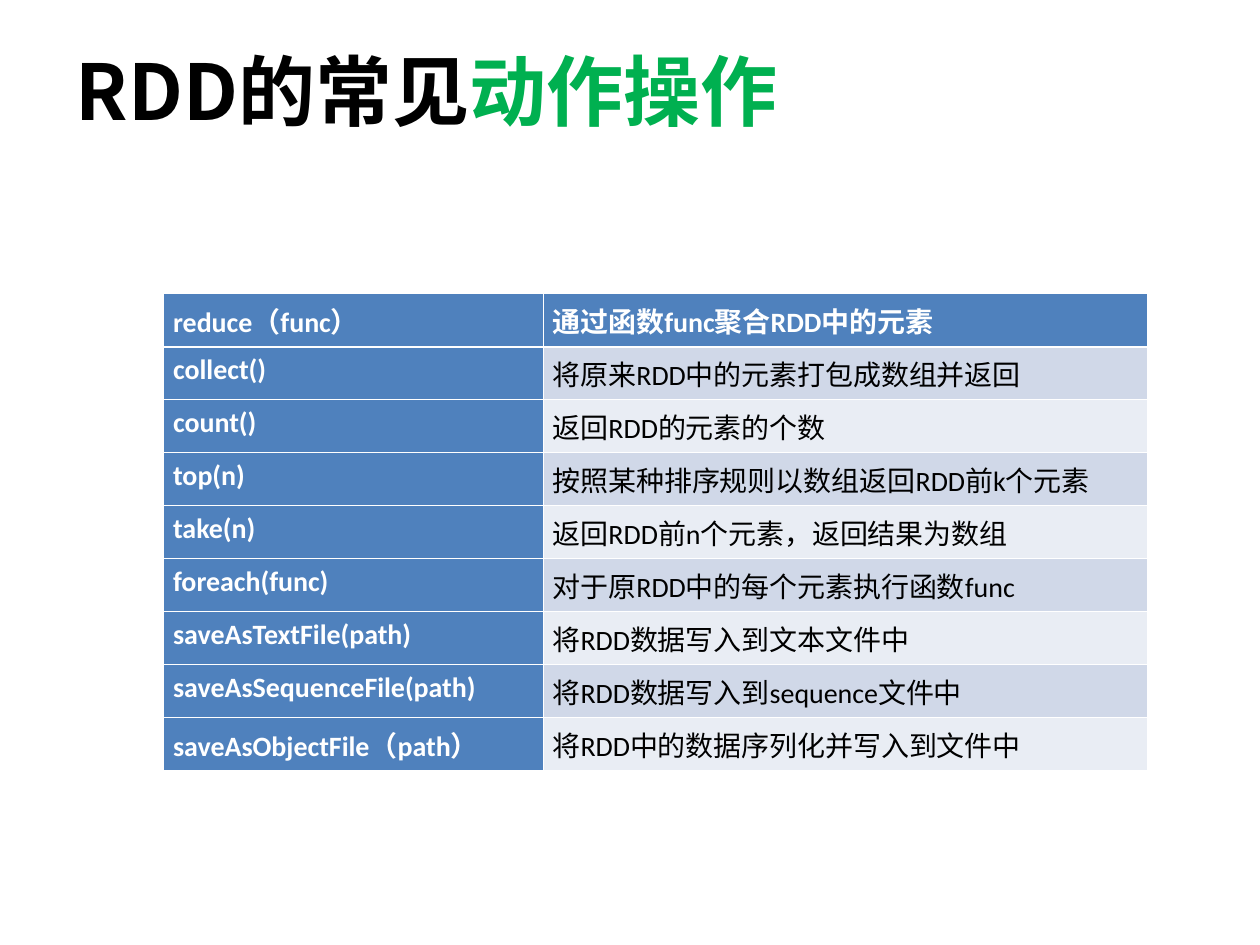
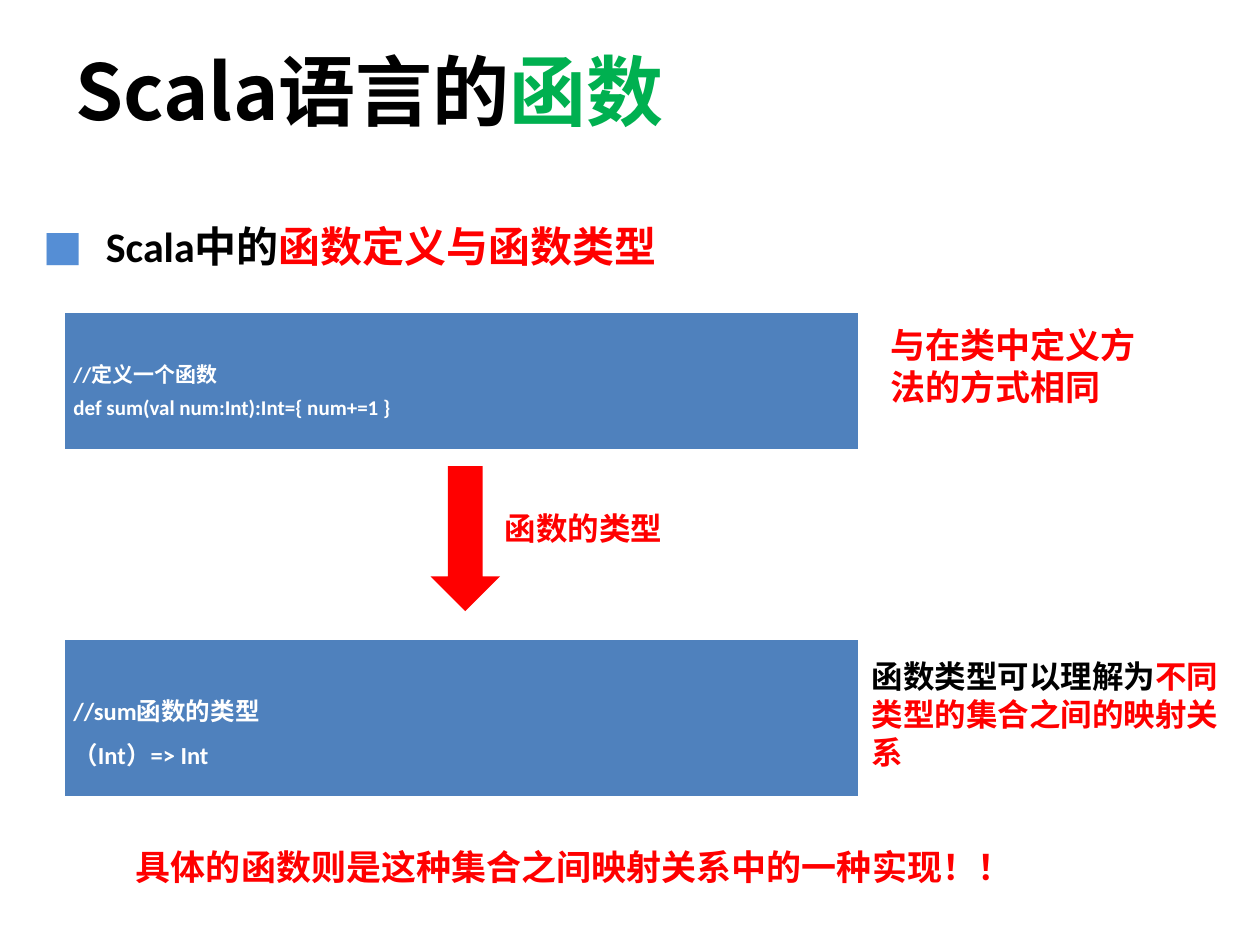
import lxml.etree
import pptx
import pptx.dml.color
import pptx.enum.shapes
import pptx.enum.text
import pptx.oxml.ns
import pptx.util
from pptx.util import Cm

RGBColor = pptx.dml.color.RGBColor
BLACK = RGBColor(0x00, 0x00, 0x00)
WHITE = RGBColor(0xFF, 0xFF, 0xFF)
GREEN = RGBColor(0x00, 0xB0, 0x50)
RED = RGBColor(0xFF, 0x00, 0x00)
BLUE = RGBColor(0x4F, 0x81, 0xBD)
BULLET_BLUE = RGBColor(0x55, 0x8E, 0xD5)
BANDS = [RGBColor(0xD0, 0xD8, 0xE8), RGBColor(0xE9, 0xED, 0xF4)]
LATIN_FONT = "Calibri"
CHINESE_FONT = "Noto Sans CJK SC"
ALIGN = pptx.enum.text.PP_ALIGN
TITLE_ONLY, TITLE_AND_CONTENT = 5, 1
qn = pptx.oxml.ns.qn


def write_parts(paragraph, parts, size, font=CHINESE_FONT, bold=True, align=ALIGN.LEFT):
    """Fill a paragraph with (text, colour) parts that share one style."""
    paragraph.alignment = align
    paragraph.space_before = pptx.util.Pt(0)
    for text, colour in parts:
        run = paragraph.add_run()
        run.text = text
        run.font.size = pptx.util.Pt(size)
        run.font.bold = bold
        run.font.color.rgb = colour
        run.font.name = font
        lxml.etree.SubElement(run.font._element, qn("a:ea"), typeface=CHINESE_FONT)


def format_cell(cell, fill, side_margin, top_width=0.45, bottom_width=0.45):
    """Give a cell its fill, side margins and white borders (widths in points)."""
    cell.margin_left = cell.margin_right = side_margin
    properties = cell._tc.get_or_add_tcPr()
    widths = {"a:lnL": 0.45, "a:lnR": 0.45, "a:lnT": top_width, "a:lnB": bottom_width}
    for tag, width in widths.items():
        border = lxml.etree.SubElement(properties, qn(tag), w=str(pptx.util.Pt(width)))
        solid = lxml.etree.SubElement(border, qn("a:solidFill"))
        lxml.etree.SubElement(solid, qn("a:srgbClr"), val=str(WHITE))
    cell.fill.solid()
    cell.fill.fore_color.rgb = fill


presentation = pptx.Presentation()
presentation.slide_width = Cm(25.4)
presentation.slide_height = Cm(19.05)

# Both slides: a black title ending in a green key word
slides = []
for layout, subject, key_word in [
    (TITLE_ONLY, "RDD的常见", "动作操作"),
    (TITLE_AND_CONTENT, "Scala语言的", "函数"),
]:
    slide = presentation.slides.add_slide(presentation.slide_layouts[layout])
    title = slide.shapes.title
    title.left, title.top, title.width, title.height = Cm(1.27), Cm(0.76), Cm(22.86), Cm(3.18)
    title.text_frame.auto_size = pptx.enum.text.MSO_AUTO_SIZE.NONE
    title.text_frame.vertical_anchor = pptx.enum.text.MSO_ANCHOR.TOP
    write_parts(title.text_frame.paragraphs[0], [(subject, BLACK), (key_word, GREEN)], 44)
    slides.append(slide)
actions_slide, functions_slide = slides

# Slide 1: RDD actions
actions = [
    ("reduce（func）", "通过函数func聚合RDD中的元素"),
    ("collect()", "将原来RDD中的元素打包成数组并返回"),
    ("count()", "返回RDD的元素的个数"),
    ("top(n)", "按照某种排序规则以数组返回RDD前k个元素"),
    ("take(n)", "返回RDD前n个元素，返回结果为数组"),
    ("foreach(func)", "对于原RDD中的每个元素执行函数func"),
    ("saveAsTextFile(path)", "将RDD数据写入到文本文件中"),
    ("saveAsSequenceFile(path)", "将RDD数据写入到sequence文件中"),
    ("saveAsObjectFile（path）", "将RDD中的数据序列化并写入到文件中"),
]
row_height = Cm(0.78)
action_table = actions_slide.shapes.add_table(
    len(actions), 2, Cm(3.3), Cm(5.92), Cm(19.82), row_height * len(actions)
).table
action_table.columns[0].width = Cm(7.65)
action_table.columns[1].width = Cm(12.17)
for row, action in enumerate(actions):
    action_table.rows[row].height = row_height
    for column, text in enumerate(action):
        heading = row == 0 or column == 0
        cell = action_table.cell(row, column)
        format_cell(
            cell,
            BLUE if heading else BANDS[(row - 1) % 2],
            Cm(0.19),
            top_width=1.47 if row == 1 else 0.45,
            bottom_width=1.47 if row == 0 else 0.45,
        )
        write_parts(
            cell.text_frame.paragraphs[0], [(text, WHITE if heading else BLACK)],
            16, LATIN_FONT, bold=heading, align=ALIGN.JUSTIFY,
        )

# Slide 2: Scala functions
topic = functions_slide.placeholders[1]
topic.left, topic.top, topic.width, topic.height = Cm(0.61), Cm(4.32), Cm(23.57), Cm(1.27)
topic.text_frame.auto_size = pptx.enum.text.MSO_AUTO_SIZE.NONE
topic_line = topic.text_frame.paragraphs[0]
write_parts(topic_line, [("Scala中的", BLACK), ("函数定义与函数类型", RED)], 24, LATIN_FONT)
topic_format = topic_line._p.get_or_add_pPr()
topic_format.set("marL", str(Cm(1.27)))
topic_format.set("indent", str(-Cm(1.27)))
bullet_colour = lxml.etree.SubElement(topic_format, qn("a:buClr"))
lxml.etree.SubElement(bullet_colour, qn("a:srgbClr"), val=str(BULLET_BLUE))
lxml.etree.SubElement(topic_format, qn("a:buFont"), typeface=LATIN_FONT)
lxml.etree.SubElement(topic_format, qn("a:buChar"), char="■")

# Code panels: top, height, top margin, text size, lines
for top, height, top_margin, size, code_lines in [
    (6.3, 2.77, 0.77, 12, ["//定义一个函数", "def sum(val num:Int):Int={ num+=1 }"]),
    (12.88, 3.18, 0.88, 14, ["//sum函数的类型", "（Int）=> Int"]),
]:
    code_table = functions_slide.shapes.add_table(
        1, 1, Cm(1.3), Cm(top), Cm(16), Cm(height)
    ).table
    cell = code_table.cell(0, 0)
    format_cell(cell, BLUE, Cm(0.18), bottom_width=1.47)
    cell.margin_top = Cm(top_margin)
    for index, code in enumerate(code_lines):
        frame = cell.text_frame
        line = frame.add_paragraph() if index else frame.paragraphs[0]
        write_parts(line, [(code, WHITE)], size, LATIN_FONT, align=ALIGN.JUSTIFY)
        line.line_spacing = 1.25

type_arrow = functions_slide.shapes.add_shape(
    pptx.enum.shapes.MSO_SHAPE.RIGHT_ARROW, Cm(7.92), Cm(10.16), Cm(2.92), Cm(1.4)
)
type_arrow.rotation = 90
type_arrow.shadow.inherit = False
type_arrow.fill.solid()
type_arrow.fill.fore_color.rgb = RED
type_arrow.line.fill.background()

# Remarks: left, top, width, height, wrap, size, parts
for left, top, width, height, wrap, size, parts in [
    (17.7, 6.4, 5.97, 1.96, True, 20, [("与在类中定义方法的方式相同", RED)]),
    (9.93, 10.13, 3.68, 1.02, False, 18, [("函数的类型", RED)]),
    (17.32, 13.13, 7.49, 2.54, True, 18,
     [("函数类型可以理解为", BLACK), ("不同类型的集合之间的映射关系", RED)]),
    (2.49, 16.92, 18.95, 1.12, True, 20,
     [("具体的函数则是这种集合之间映射关系中的一种实现！！", RED)]),
]:
    remark = functions_slide.shapes.add_textbox(Cm(left), Cm(top), Cm(width), Cm(height))
    remark.text_frame.word_wrap = wrap
    write_parts(remark.text_frame.paragraphs[0], parts, size)

presentation.save("out.pptx")
